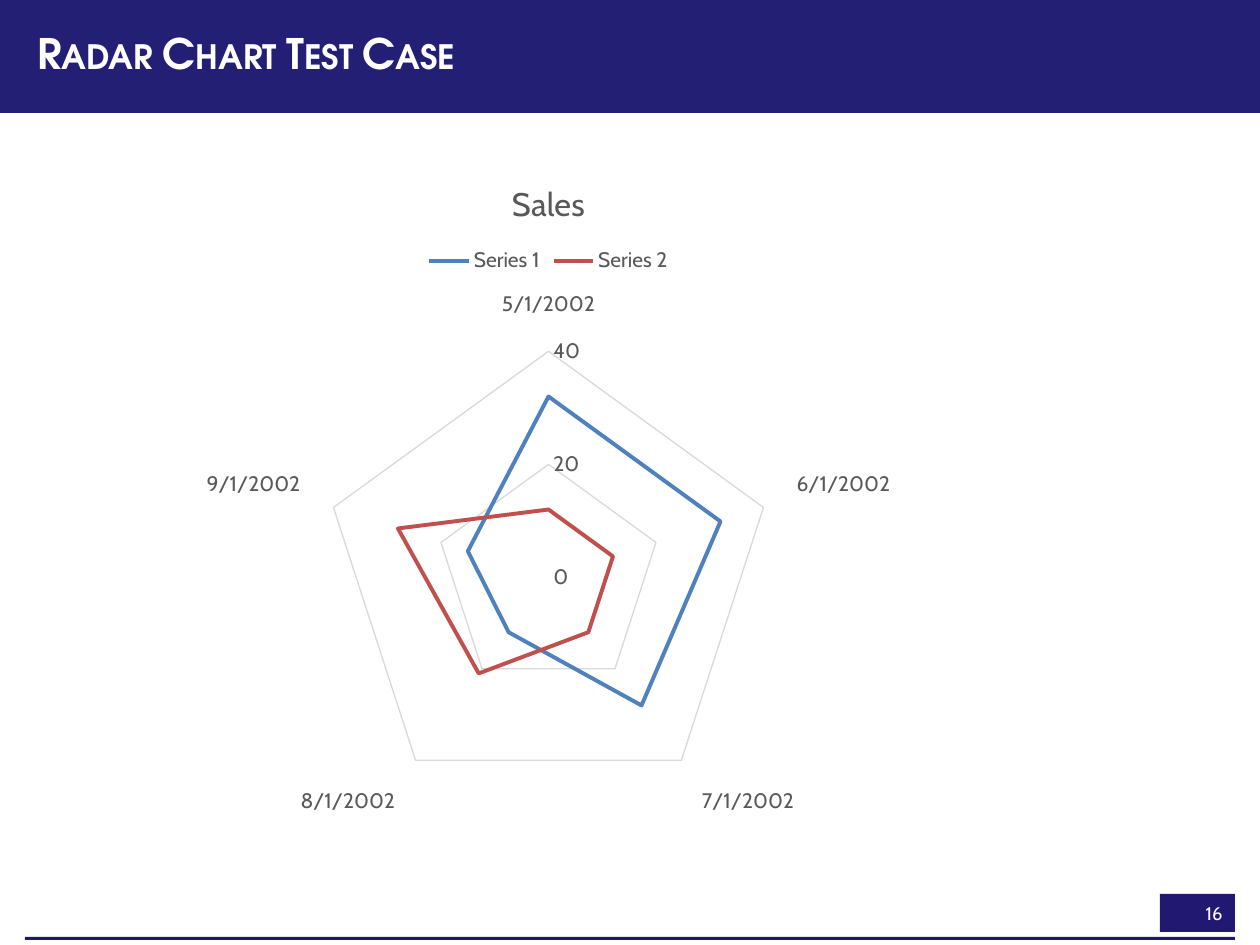
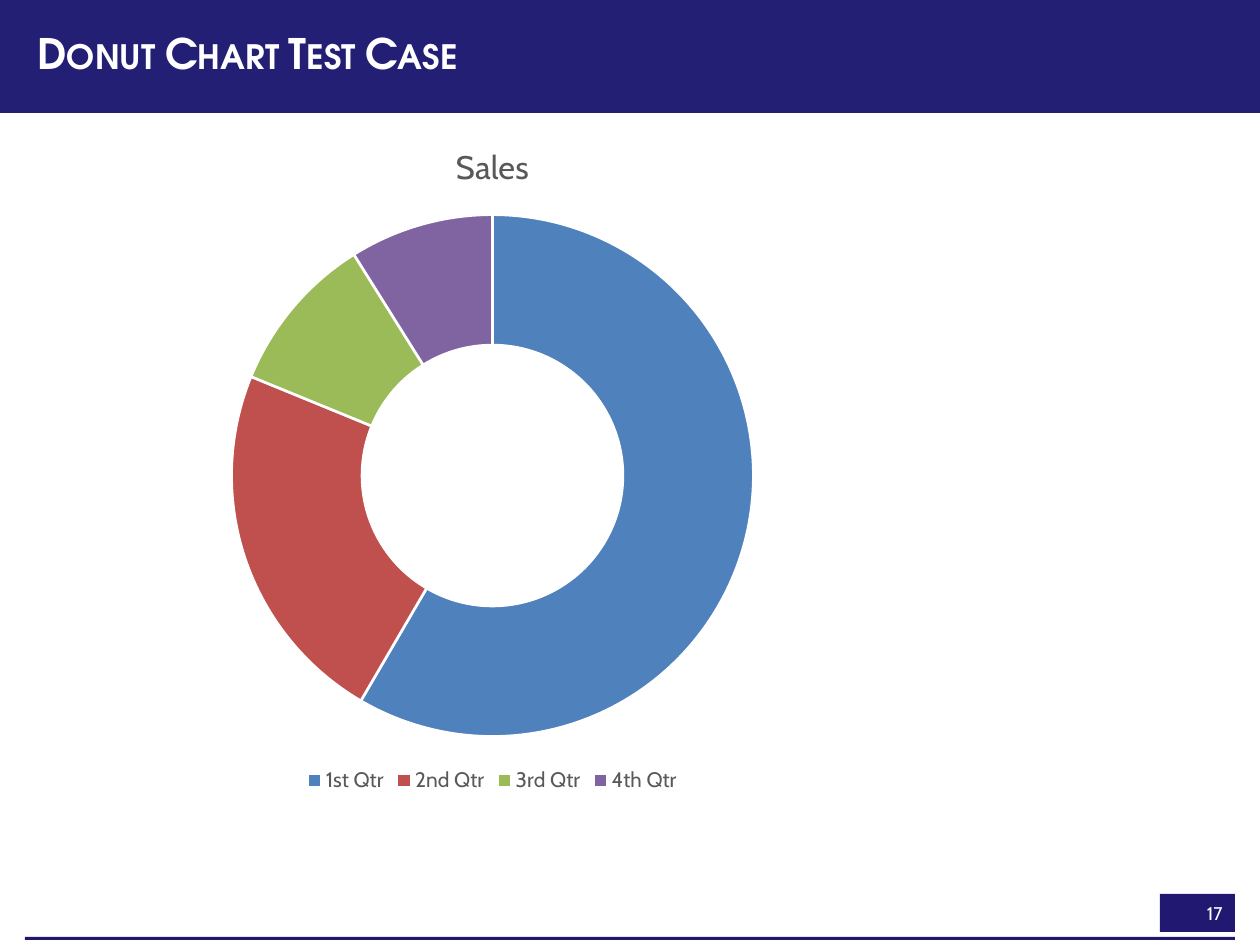
from pptx import Presentation
from pptx import util as u
from pptx.chart.data import CategoryChartData
from pptx.dml.color import RGBColor
from pptx.enum import chart as ch, shapes, text

PX = 914400 / 126  # one picture pixel in EMU
BODY, HEAD = "Cabin", "TeX Gyre Adventor"
WHITE, GREY, GRID = "FFFFFF", "595959", "D9D9D9"
BAND, RULE, TAB = "231F74", "20186F", "211971"
HUES = ["4F81BD", "C0504D", "9BBB59", "8064A2"]


def px(*vals):
    return [u.Emu(round(v * PX)) for v in vals]


def rgb(code):
    return RGBColor.from_string(code)


def put(obj, **vals):
    for name, val in vals.items():
        setattr(obj, name, val)


def style(font, size, color, face=BODY, bold=False):
    put(font, size=u.Pt(size), name=face, bold=bold)
    font.color.rgb = rgb(color)


def stroke(line, color, width):
    line.color.rgb = rgb(color)
    line.width = u.Pt(width)


def rect(slide, box, color):
    shape = slide.shapes.add_shape(shapes.MSO_SHAPE.RECTANGLE, *px(*box))
    shape.shadow.inherit = False
    shape.fill.solid()
    shape.fill.fore_color.rgb = rgb(color)
    shape.line.fill.background()
    return shape


# Shared parts: number tab, foot rule, title band
def footer(slide, box, num):
    x, y, w, h = box
    tab = rect(slide, (x + w - 75, y, 75, 38), TAB)
    tab.text_frame.vertical_anchor = text.MSO_ANCHOR.MIDDLE
    para = tab.text_frame.paragraphs[0]
    para.alignment = text.PP_ALIGN.RIGHT
    run = para.add_run()
    run.text = str(num)
    style(run.font, 10.5, WHITE)
    rect(slide, (x, y + h - 3, w, 3), RULE)


def header(slide, box, words):
    x, y, w, h = box
    rect(slide, box, BAND)
    title = slide.shapes.title
    left, top, width, height = px(x + 25, y + 12, w - 50, h - 25)
    put(title, left=left, top=top, width=width, height=height)
    slide.shapes._spTree.append(title._element)  # bring above the band
    frame = title.text_frame
    put(frame, vertical_anchor=text.MSO_ANCHOR.MIDDLE, word_wrap=True,
        auto_size=text.MSO_AUTO_SIZE.NONE)
    para = frame.paragraphs[0]
    put(para, alignment=text.PP_ALIGN.LEFT, line_spacing=0.9)
    run = para.add_run()
    run.text = words
    style(run.font, 24, WHITE, HEAD, True)
    run._r.get_or_add_rPr().set("cap", "small")


# Charts
def graph(slide, box, kind, cats, rows, legend):
    data = CategoryChartData()
    data.categories = cats
    for name, vals in rows:
        data.add_series(name, vals)
    chart = slide.shapes.add_chart(kind, *px(*box), data).chart
    style(chart.font, 10, "000000")
    put(chart, has_title=True, has_legend=True)
    para = chart.chart_title.text_frame.paragraphs[0]
    run = para.add_run()
    run.text = "Sales"
    style(run.font, 18.6, GREY)
    put(chart.legend, position=legend, include_in_layout=False)
    style(chart.legend.font, 12, GREY)
    return chart


def radar(slide, box):
    cats = [f"{month}/1/2002" for month in range(5, 10)]
    rows = [("Series 1", (32, 32, 28, 12, 15)),
            ("Series 2", (12, 12, 12, 21, 28))]
    chart = graph(slide, box, ch.XL_CHART_TYPE.RADAR, cats, rows,
                  ch.XL_LEGEND_POSITION.TOP)
    for line, hue in zip(chart.plots[0].series, HUES):
        stroke(line.format.line, hue, 2.25)
        line.smooth = False
    ring, scale = chart.category_axis, chart.value_axis
    for axis in (ring, scale):
        style(axis.tick_labels.font, 12, GREY)
        put(axis, major_tick_mark=ch.XL_TICK_MARK.NONE,
            minor_tick_mark=ch.XL_TICK_MARK.NONE)
    ring.has_major_gridlines = False
    stroke(ring.format.line, GRID, 0.75)
    put(scale, minimum_scale=0, maximum_scale=40, major_unit=20,
        has_major_gridlines=True)
    scale.format.line.fill.background()
    stroke(scale.major_gridlines.format.line, GRID, 0.75)


def donut(slide, box):
    cats = ["1st Qtr", "2nd Qtr", "3rd Qtr", "4th Qtr"]
    chart = graph(slide, box, ch.XL_CHART_TYPE.DOUGHNUT, cats,
                  [("Sales", (59, 23, 10, 9))], ch.XL_LEGEND_POSITION.BOTTOM)
    plot = chart.plots[0]
    plot.vary_by_categories = True
    for i, hue in enumerate(HUES):
        part = plot.series[0].points[i].format
        part.fill.solid()
        part.fill.fore_color.rgb = rgb(hue)
        stroke(part.line, WHITE, 1.5)
    for hole in chart._chartSpace.xpath(".//c:holeSize"):
        hole.set("val", "75")


# Slides
deck = Presentation()
deck.slide_width, deck.slide_height = px(1260, 945)
PAGES = [("Radar Chart Test Case", radar, (25, 155, 1047, 672)),
         ("Donut Chart Test Case", donut, (39, 118, 907, 680))]
for num, (words, draw, box) in enumerate(PAGES, 16):
    slide = deck.slides.add_slide(deck.slide_layouts[5])
    footer(slide, (25, 894, 1210, 46), num)
    header(slide, (0, 0, 1260, 113), words)
    draw(slide, box)
deck.save("out.pptx")
